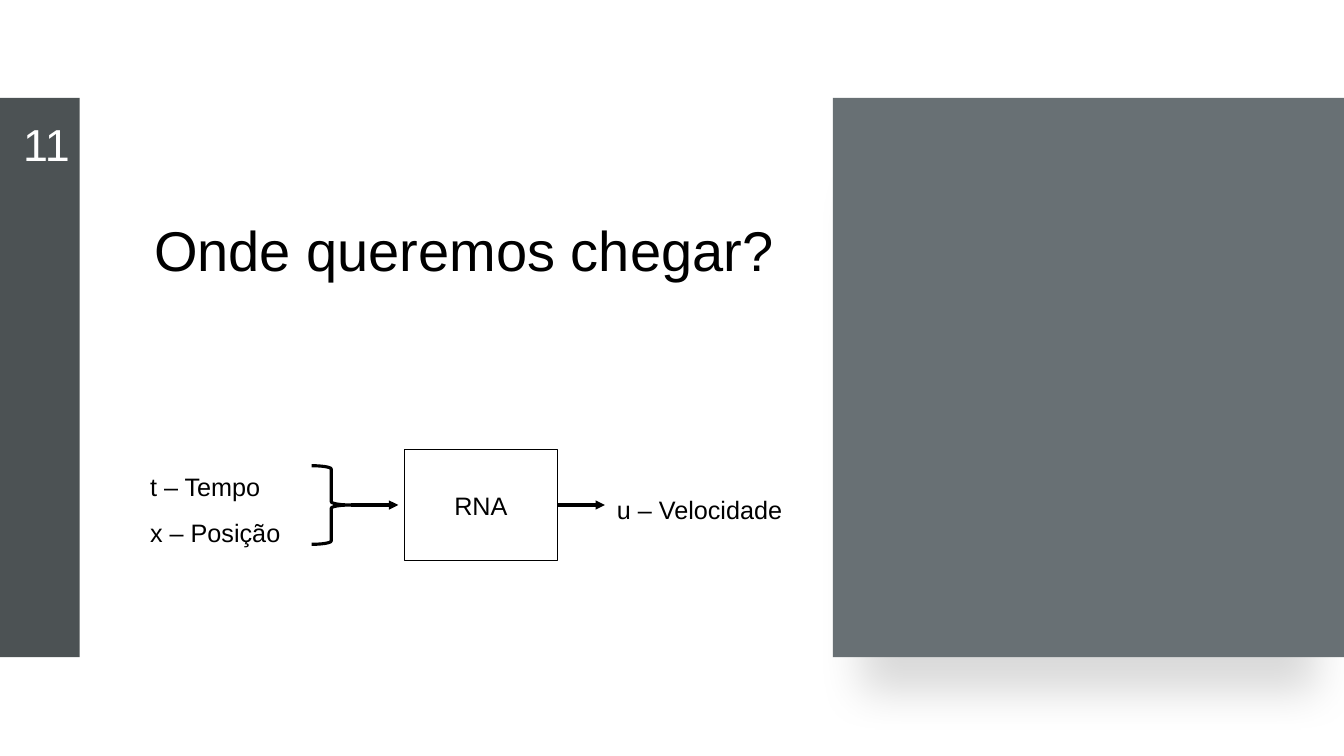
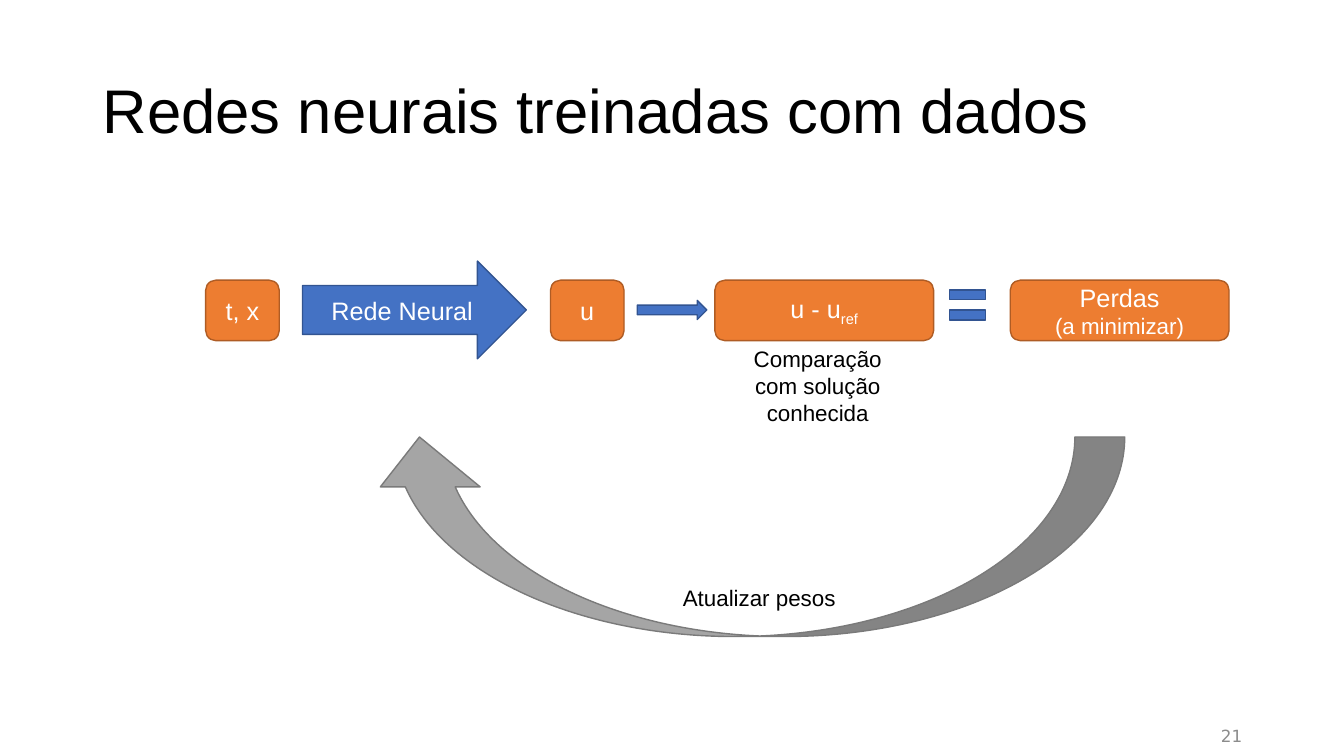
from dataclasses import dataclass

from lxml import etree
from pptx import Presentation
from pptx.dml.color import RGBColor
from pptx.enum import shapes, text
from pptx.oxml import ns
from pptx.util import Emu, Pt

PX = 9144  # 100 px to the inch
FONT = "Arial"
COLORS = {
    "black": "000000", "white": "FFFFFF", "band": "4C5254", "panel": "687074",
    "orange": "ED7D31", "orange_edge": "AF5C24", "blue": "4472C4", "blue_edge": "325491",
    "gray": "A5A5A5", "gray_edge": "7A7A7A", "page": "8C8C8C",
}
SHAPE = shapes.MSO_SHAPE
ANCHOR = text.MSO_ANCHOR
ALIGN = text.PP_ALIGN


@dataclass(frozen=True)
class Box:
    left: int
    top: int
    width: int
    height: int

    def emu(self) -> tuple:
        return tuple(Emu(n * PX) for n in (self.left, self.top, self.width, self.height))


@dataclass(frozen=True)
class Run:
    text: str
    size: int | None = None
    baseline: int = 0
    new_line: bool = False


@dataclass(frozen=True)
class TextStyle:
    size: int = 18
    color: str = "black"
    align: ALIGN = ALIGN.LEFT
    anchor: ANCHOR = ANCHOR.TOP
    spacing: float = 1.0
    after: int = 0
    font: str = FONT
    wrap: bool = True
    grow: bool = False


@dataclass(frozen=True)
class Look:
    fill: str | None = None
    edge: str | None = None
    width: float = 1


@dataclass(frozen=True)
class Node:
    left: int
    width: int
    runs: tuple


TITLE_1 = TextStyle(40, anchor=ANCHOR.BOTTOM, spacing=0.9)
TITLE_2 = TextStyle(44, anchor=ANCHOR.MIDDLE, spacing=0.9)
BAND_NUMBER = TextStyle(32, "white", ALIGN.RIGHT, ANCHOR.MIDDLE, after=6)
PAGE_NUMBER = TextStyle(12, "page", ALIGN.RIGHT, ANCHOR.MIDDLE, font="DejaVu Sans")
VARIABLE = TextStyle(spacing=1.5, wrap=False, grow=True)
CAPTION = TextStyle(16, align=ALIGN.CENTER, grow=True)
DARK_LABEL = TextStyle(align=ALIGN.CENTER, anchor=ANCHOR.MIDDLE)
LIGHT_LABEL = TextStyle(color="white", align=ALIGN.CENTER, anchor=ANCHOR.MIDDLE)

ORANGE = Look("orange", "orange_edge")
BLUE = Look("blue", "blue_edge")

ROW_TOP, ROW_HEIGHT = 278, 60
NODES = (
    Node(204, 73, (Run("t, x"),)),
    Node(546, 73, (Run("u"),)),
    Node(709, 217, (Run("u - u"), Run("ref", baseline=-25000))),
    Node(1002, 217, (Run("Perdas"), Run("(a minimizar)", 16, new_line=True))),
)


def rgb(name: str) -> RGBColor:
    return RGBColor.from_string(COLORS[name])


def write(sp, paragraphs: tuple, style: TextStyle) -> None:
    tf = sp.text_frame
    tf.word_wrap = style.wrap
    tf.vertical_anchor = style.anchor
    if style.grow:
        tf.auto_size = text.MSO_AUTO_SIZE.SHAPE_TO_FIT_TEXT
    for i, runs in enumerate(paragraphs):
        p = tf.add_paragraph() if i else tf.paragraphs[0]
        p.alignment = style.align
        p.line_spacing = style.spacing
        p.space_after = Pt(style.after)
        p.font.name = style.font
        p.font.size = Pt(style.size)
        p.font.color.rgb = rgb(style.color)
        for run in runs:
            if run.new_line:
                p.add_line_break()
            r = p.add_run()
            r.text = run.text
            # The shape style would otherwise recolour the run
            r.font.color.rgb = rgb(style.color)
            if run.size:
                r.font.size = Pt(run.size)
            if run.baseline:
                r.font._element.set("baseline", str(run.baseline))


def add_text(slide, box: Box, style: TextStyle, *lines: str):
    sp = slide.shapes.add_textbox(*box.emu())
    write(sp, tuple((Run(line),) for line in lines), style)
    return sp


def add_shape(slide, kind: SHAPE, box: Box, look: Look):
    sp = slide.shapes.add_shape(kind, *box.emu())
    sp.shadow.inherit = False
    if look.fill:
        sp.fill.solid()
        sp.fill.fore_color.rgb = rgb(look.fill)
    else:
        sp.fill.background()
    if look.edge:
        sp.line.color.rgb = rgb(look.edge)
        sp.line.width = Pt(look.width)
    else:
        sp.line.fill.background()
    return sp


def add_soft_shadow(sp) -> None:
    effects = sp._element.spPr.find(ns.qn("a:effectLst"))
    shadow = etree.SubElement(
        effects, ns.qn("a:outerShdw"), blurRad=str(Pt(32)), dist=str(Pt(25)),
        dir="5400000", sx="89000", sy="89000", rotWithShape="0")
    color = etree.SubElement(shadow, ns.qn("a:srgbClr"), val=COLORS["black"])
    etree.SubElement(color, ns.qn("a:alpha"), val="15000")


def add_arrow(slide, left: int, right: int, y: int):
    line = slide.shapes.add_connector(
        shapes.MSO_CONNECTOR.STRAIGHT, *(Emu(n * PX) for n in (left, y, right, y)))
    line.line.color.rgb = rgb("black")
    line.line.width = Pt(2.25)
    etree.SubElement(line.line._get_or_add_ln(), ns.qn("a:tailEnd"), type="triangle")
    etree.SubElement(line._element.spPr, ns.qn("a:effectLst"))
    return line


def build_goal(slide) -> None:
    # Title, number band and side panel
    add_text(slide, Box(143, 208, 642, 78), TITLE_1, "Onde queremos chegar?")
    add_shape(slide, SHAPE.RECTANGLE, Box(0, 97, 79, 555), Look("band"))
    add_text(slide, Box(0, 109, 79, 66), BAND_NUMBER, "11")
    panel = add_shape(slide, SHAPE.RECTANGLE, Box(826, 97, 507, 555), Look("panel"))
    add_soft_shadow(panel)

    # Inputs, network and output
    add_text(slide, Box(139, 448, 151, 95), VARIABLE, "t – Tempo", "x – Posição")
    add_text(slide, Box(602, 470, 193, 50), VARIABLE, "u – Velocidade")
    network = add_shape(slide, SHAPE.RECTANGLE, Box(401, 446, 152, 110), Look("white", "black"))
    write(network, ((Run("RNA"),),), DARK_LABEL)
    add_shape(slide, SHAPE.RIGHT_BRACE, Box(309, 462, 39, 78), Look(edge="black", width=2.25))
    add_arrow(slide, 348, 395, 501)
    add_arrow(slide, 553, 600, 501).begin_connect(network, 3)


def build_training(slide) -> None:
    # Title and page number
    add_text(slide, Box(92, 40, 1150, 145), TITLE_2, "Redes neurais treinadas com dados")
    add_text(slide, Box(942, 710, 300, 40), PAGE_NUMBER, "21")

    # Row of steps
    for node in NODES:
        sp = add_shape(slide, SHAPE.FLOWCHART_ALTERNATE_PROCESS,
                       Box(node.left, ROW_TOP, node.width, ROW_HEIGHT), ORANGE)
        write(sp, (node.runs,), LIGHT_LABEL)
    network = add_shape(slide, SHAPE.RIGHT_ARROW, Box(300, 259, 222, 97), BLUE)
    write(network, ((Run("Rede Neural"),),), LIGHT_LABEL)
    add_shape(slide, SHAPE.RIGHT_ARROW, Box(632, 298, 69, 19), BLUE)
    equal = add_shape(slide, SHAPE.MATH_EQUAL, Box(935, 282, 49, 41), BLUE)
    equal.adjustments[0] = 0.24
    equal.adjustments[1] = 0.25
    add_text(slide, Box(715, 338, 192, 64), CAPTION, "Comparação com solução conhecida")

    # Feedback loop
    loop = add_shape(slide, SHAPE.CURVED_LEFT_ARROW, Box(642, 158, 198, 749),
                     Look("gray", "gray_edge"))
    loop.rotation = 90
    add_text(slide, Box(657, 575, 192, 37), CAPTION, "Atualizar pesos")


def main() -> None:
    prs = Presentation()
    prs.slide_width, prs.slide_height = Emu(1333 * PX), Emu(750 * PX)
    for build in (build_goal, build_training):
        build(prs.slides.add_slide(prs.slide_layouts[6]))
    prs.save("out.pptx")


if __name__ == "__main__":
    main()
